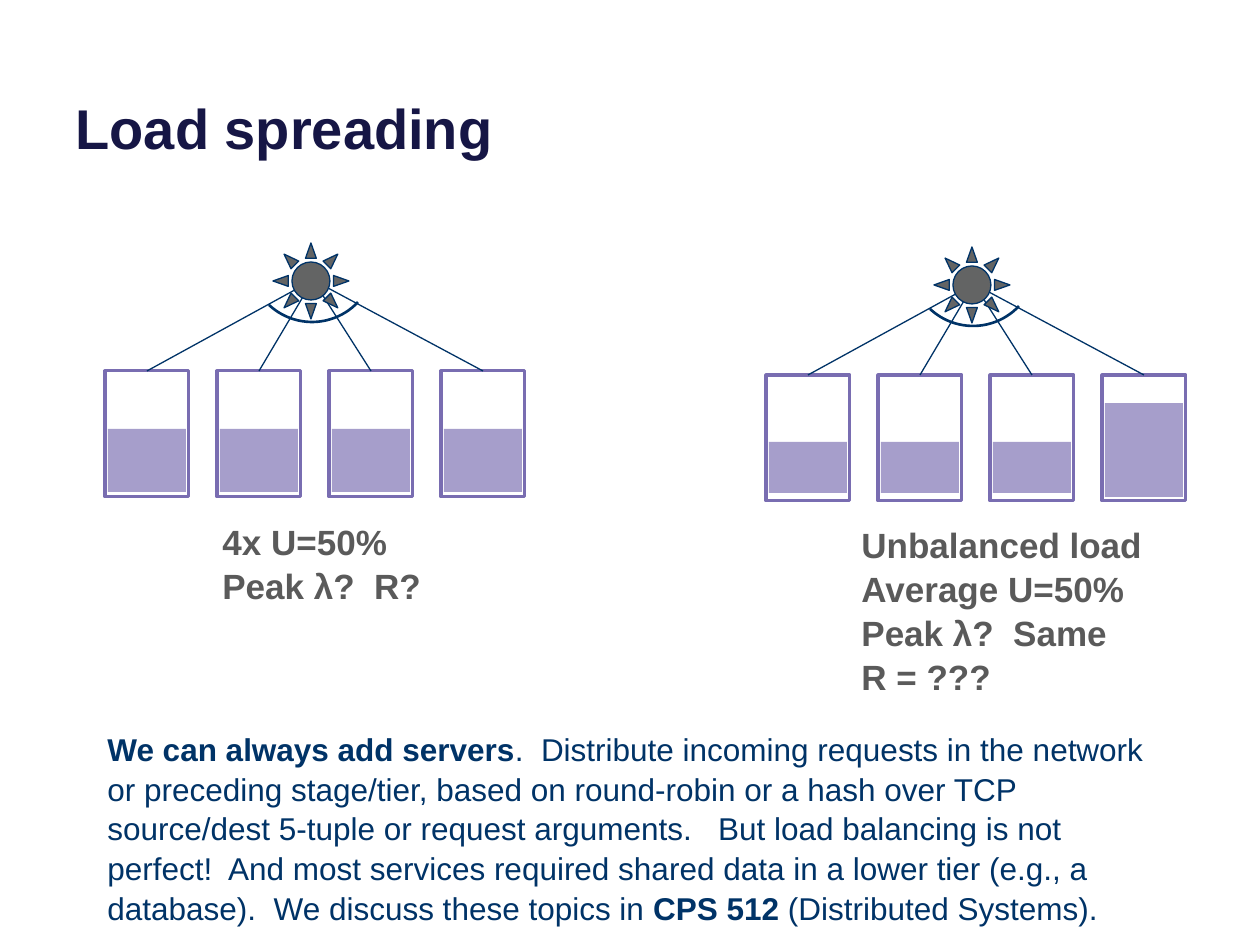
"""Build the load spreading slide: balanced and unbalanced server groups."""
from lxml import etree
from pptx import Presentation
from pptx.dml.color import RGBColor
from pptx.enum.shapes import MSO_CONNECTOR, MSO_SHAPE
from pptx.enum.text import MSO_ANCHOR, MSO_AUTO_SIZE, PP_ALIGN
from pptx.oxml.ns import qn
from pptx.util import Pt

RECTANGLE, ARC, SUN = MSO_SHAPE.RECTANGLE, MSO_SHAPE.ARC, MSO_SHAPE.SUN
STRAIGHT = MSO_CONNECTOR.STRAIGHT
BOTTOM, LEFT = MSO_ANCHOR.BOTTOM, PP_ALIGN.LEFT
GROW = MSO_AUTO_SIZE.SHAPE_TO_FIT_TEXT
EMU_PER_PX = 914400 / 126
NAVY, PURPLE, LILAC, GREY = "003367", "796DB1", "A69ECB", "636464"
SERVER_WIDTH, SERVER_HEIGHT, SERVER_PITCH = 84, 126, 112
color = RGBColor.from_string


def px(*lengths):
    return [round(length * EMU_PER_PX) for length in lengths]


def add_part(preset, box, fill=None, line=None, width=0.75):
    part = slide.shapes.add_shape(preset, *px(*box))
    part.shadow.inherit = False
    if fill:
        part.fill.solid()
        part.fill.fore_color.rgb = color(fill)
    else:
        part.fill.background()
    if line:
        part.line.color.rgb = color(line)
        part.line.width = Pt(width)
    else:
        part.line.fill.background()
    return part


prs = Presentation()
prs.slide_width, prs.slide_height = px(1260, 945)
slide = prs.slides.add_slide(prs.slide_layouts[5])

title = slide.shapes.title
title.left, title.top, title.width, title.height = px(63, -47, 1134, 214)
title.text_frame.text = "Load spreading"
title.text_frame.vertical_anchor = BOTTOM
heading = title.text_frame.paragraphs[0]
heading.alignment = LEFT
heading.font.name, heading.font.size, heading.font.bold = "Arial", Pt(32), True
heading.font.color.rgb = color("161645")

balanced = [(58, 63)] * 4
unbalanced = [(67, 51)] * 3 + [(28, 94)]
for left, top, loads in [(105, 371, balanced), (766, 375, unbalanced)]:
    server_lefts = [left + SERVER_PITCH * i for i in range(len(loads))]
    for server_left in server_lefts:
        add_part(RECTANGLE, (server_left, top, SERVER_WIDTH, SERVER_HEIGHT),
                 line=PURPLE, width=1.75)
    for server_left in server_lefts:
        request = slide.shapes.add_connector(STRAIGHT, *px(
            left + 208, top - 91, server_left + SERVER_WIDTH // 2, top))
        request.line.color.rgb = color(NAVY)
        request.line.width = Pt(0.75)
        etree.SubElement(request._element.spPr, qn("a:effectLst"))
    spread = add_part(ARC, (left + 144, top - 175, 126, 126), line=NAVY, width=1.5)
    spread.rotation = 133.2
    add_part(SUN, (left + 168, top - 128, 76, 76), fill=GREY, line=NAVY)
    for server_left, (offset, height) in zip(server_lefts, loads):
        add_part(RECTANGLE, (server_left + 3, top + offset, 78, height), fill=LILAC)

balanced_note = [[("4x U=50%", True)], [("Peak λ?  R?", True)]]
unbalanced_note = [[("Unbalanced load", True)], [("Average U=50%", True)],
                   [("Peak λ?  Same", True)], [("R = ???", True)]]
summary = [[
    ("We can always add servers", True),
    (".  Distribute incoming requests in the network or preceding stage/tier, "
     "based on round-robin or a hash over TCP source/dest 5-tuple or request "
     "arguments.   But load balancing is not perfect!  And most services required "
     "shared data in a lower tier (e.g., a database).  We discuss these topics in ",
     False),
    ("CPS 512 ", True),
    ("(Distributed Systems).", False),
]]
for box, size, ink, paragraphs in [
    ((210, 512, 231, 97), 20, "5A5A5A", balanced_note),
    ((849, 515, 358, 183), 20, "5A5A5A", unbalanced_note),
    ((95, 722, 1092, 204), 18, NAVY, summary),
]:
    frame = slide.shapes.add_textbox(*px(*box)).text_frame
    frame.word_wrap = True
    frame.auto_size = GROW
    for i, pieces in enumerate(paragraphs):
        paragraph = frame.add_paragraph() if i else frame.paragraphs[0]
        paragraph.line_spacing = 1.05
        paragraph.font.name, paragraph.font.size = "Arial", Pt(size)
        paragraph.font.color.rgb = color(ink)
        for text, bold in pieces:
            run = paragraph.add_run()
            run.text = text
            run.font.bold = bold

prs.save("out.pptx")
